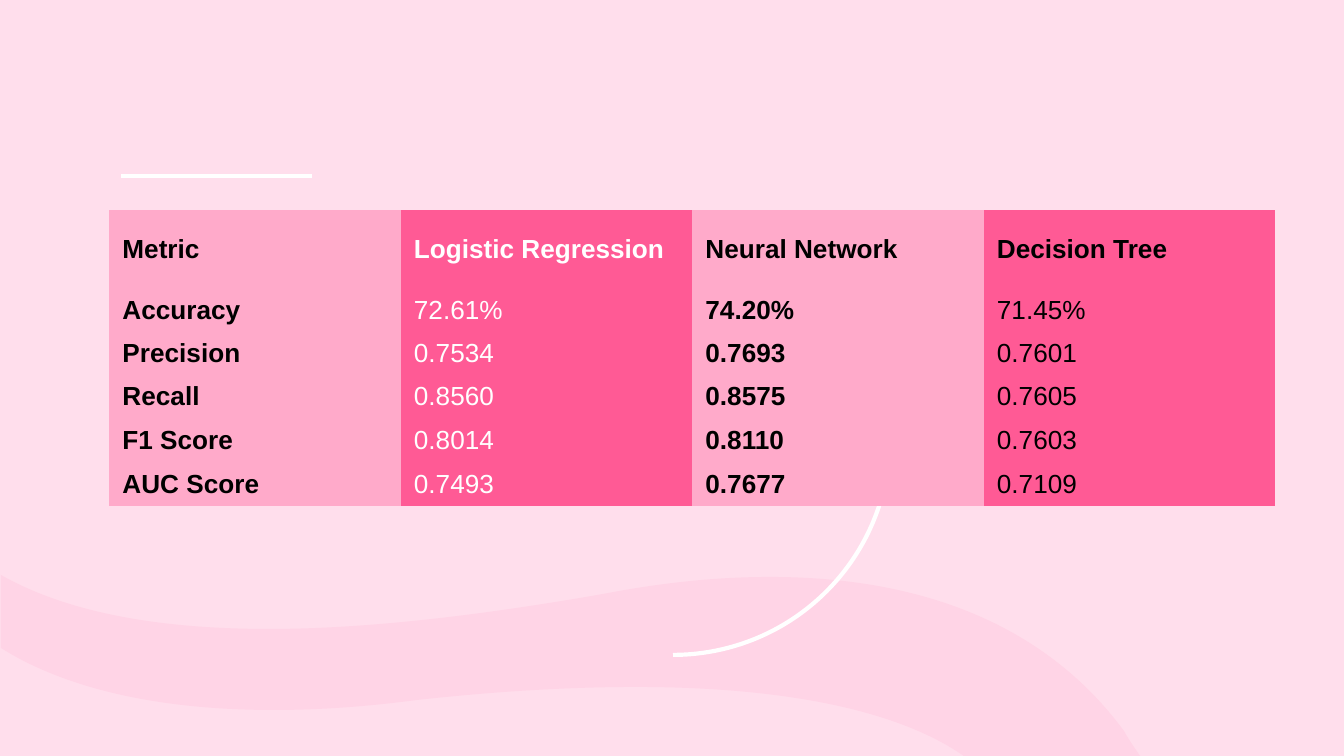
from lxml import etree
from pptx import Presentation
from pptx import util as u
from pptx.dml.color import RGBColor
from pptx.enum import shapes, text
from pptx.oxml.ns import qn

PX = 914400 / 134.4
WIDTH, HEIGHT = 1344, 756
COLOURS = {"page": "FFDEEC", "wave": "FFD4E6", "line": "FFFFFF", "light": "FFAACA",
           "strong": "FF5A95", "dark": "000000", "white": "FFFFFF"}
NO_GRID = "{2D5ABB26-0587-4C30-8999-92F81FD0307C}"


def emu(px):
    return u.Emu(round(px * PX))


def colour(name):
    return RGBColor.from_string(COLOURS[name])


class SlideMaker:
    font = {"name": "Arial", "size": u.Pt(14)}
    line_width = u.Pt(2.25)

    def __init__(self, deck):
        self.page = deck.slides.add_slide(deck.slide_layouts[6])
        fill = self.page.background.fill
        fill.solid()
        fill.fore_color.rgb = colour("page")

    def stroke(self, shape):
        shape.line.color.rgb = colour("line")
        shape.line.width = self.line_width

    def ribbon(self, start, segments, fill):
        """A closed outline: one point is a straight side, three are a curve."""
        builder = self.page.shapes.build_freeform(*start, scale=PX)
        builder.add_line_segments([point for segment in segments for point in segment], close=True)
        shape = builder.convert_to_shape()
        sides = iter(list(shape.element.iter(qn("a:lnTo"))))
        for segment in segments:
            side, *others = [next(sides) for _ in segment]
            if others:
                side.tag = qn("a:cubicBezTo")
                for other in others:
                    side.append(other[0])
                    other.getparent().remove(other)
        shape.shadow.inherit = False
        shape.fill.solid()
        shape.fill.fore_color.rgb = colour(fill)
        shape.line.fill.background()

    def rule(self, left, top, right):
        line = self.page.shapes.add_connector(
            shapes.MSO_CONNECTOR.STRAIGHT, emu(left), emu(top), emu(right), emu(top))
        self.stroke(line)
        etree.SubElement(line.element.spPr, qn("a:effectLst"))

    def arc(self, left, top, size, rotation):
        shape = self.page.shapes.add_shape(
            shapes.MSO_SHAPE.ARC, emu(left), emu(top), emu(size), emu(size))
        shape.shadow.inherit = False
        shape.rotation = rotation
        shape.fill.background()
        self.stroke(shape)

    def table(self, left, top, width, heights, rows, columns):
        frame = self.page.shapes.add_table(
            len(rows), len(columns), emu(left), emu(top), emu(width), emu(sum(heights)))
        grid = frame.table
        grid.first_row = grid.horz_banding = False
        frame.element.find(".//" + qn("a:tableStyleId")).text = NO_GRID
        for row, height in zip(grid.rows, heights):
            row.height = emu(height)
        for r, values in enumerate(rows):
            for c, (value, (fill, ink, bold)) in enumerate(zip(values, columns)):
                self.cell(grid.cell(r, c), value, fill, ink, bold or r == 0)

    def cell(self, cell, value, fill, ink, bold):
        cell.fill.solid()
        cell.fill.fore_color.rgb = colour(fill)
        cell.vertical_anchor = text.MSO_ANCHOR.MIDDLE
        span = cell.text_frame.paragraphs[0].add_run()
        span.text = value
        for key, setting in {**self.font, "bold": bold}.items():
            setattr(span.font, key, setting)
        span.font.color.rgb = colour(ink)


def main():
    deck = Presentation()
    deck.slide_width, deck.slide_height = emu(WIDTH), emu(HEIGHT)
    maker = SlideMaker(deck)

    # Wave along the bottom
    maker.ribbon((1, 575), [
        [(1, 648)],
        [(47, 677), (130, 710), (274, 710)],
        [(317, 710), (364, 707), (417, 700)],
        [(499, 691), (571, 687), (636, 687)],
        [(802, 687), (910, 716), (968, 759)],
        [(1142, 759)],
        [(1137, 751), (1130, 742), (1124, 731)],
        [(1054, 636), (939, 577), (770, 577)],
        [(720, 577), (665, 582), (603, 594)],
        [(489, 614), (372, 629), (269, 629)],
        [(163, 629), (70, 614), (1, 575)],
    ], "wave")

    # White rule and two quarter circles
    maker.rule(121, 176, 312)
    for rotation in (270, 90):
        maker.arc(456, 221, 434, rotation)

    # Model comparison
    columns = [("light", "dark", True), ("strong", "white", False),
               ("light", "dark", True), ("strong", "dark", False)]
    rows = [
        ("Metric", "Logistic Regression", "Neural Network", "Decision Tree"),
        ("Accuracy", "72.61%", "74.20%", "71.45%"),
        ("Precision", "0.7534", "0.7693", "0.7601"),
        ("Recall", "0.8560", "0.8575", "0.7605"),
        ("F1 Score", "0.8014", "0.8110", "0.7603"),
        ("AUC Score", "0.7493", "0.7677", "0.7109"),
    ]
    maker.table(109, 210, 1166, [79, 43, 43, 43, 45, 43], rows, columns)

    deck.save("out.pptx")


if __name__ == "__main__":
    main()
